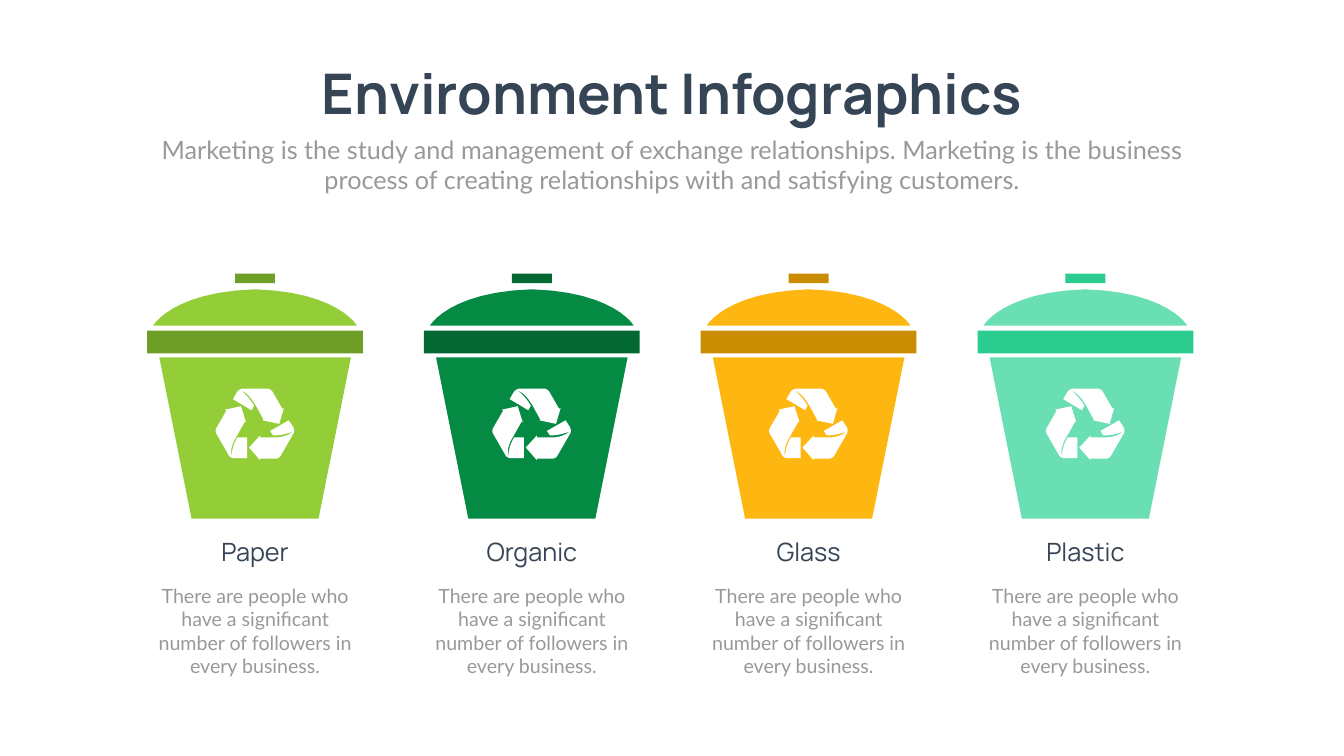
import dataclasses
import typing

import pptx
import pptx.dml.color
import pptx.enum.shapes
import pptx.enum.text
import pptx.util

# Grid: 2666 columns by 1500 rows of square cells
COLS, ROWS = 2666, 1500
CELL = pptx.util.Inches(0.01)
MIDDLE = COLS / 2
FIRST_BIN, BIN_PITCH = 506, 549
SYMBOL_ROW = 842
CURVE_STEPS = 12

Point = tuple[float, float]
# A segment holds one point for a line, or three for a Bézier curve
Segment = tuple[Point, ...]


@dataclasses.dataclass(frozen=True)
class Style:
    font: str
    size: int
    color: str
    bold: bool = False


@dataclasses.dataclass(frozen=True)
class Theme:
    title: Style = Style("Manrope", 80, "364556", True)
    subtitle: Style = Style("Lato", 36, "999999")
    label: Style = Style("Manrope", 36, "364556")
    body: Style = Style("Lato", 28, "999999")
    symbol: str = "FFFFFF"


@dataclasses.dataclass(frozen=True)
class Bin:
    label: str
    light: str
    dark: str


class Outline(typing.NamedTuple):
    start: Point
    segments: tuple[Segment, ...]


THEME = Theme()
BINS = (
    Bin("Paper", "93CE39", "6F9E27"),
    Bin("Organic", "058A43", "046832"),
    Bin("Glass", "FEB611", "CA8D01"),
    Bin("Plastic", "6BDFB4", "2CCC90"),
)
DESCRIPTION = "There are people who have a significant number of followers in every business."

# Outlines: columns from the bin's axis; rows from the slide top, or from SYMBOL_ROW for arrows
BODY = Outline((-190, 709), (((-126, 1029),), ((126, 1029),), ((190, 709),)))
LID = Outline((202, 646), (
    ((202, 646), (164, 579), (0, 574)),
    ((-164, 579), (-202, 646), (-202, 646)),
))
ARROWS = (
    # Right arrow
    Outline((76, 6), (
        ((67, -8),), ((30, 13),), ((36, 22),),
        ((49, 22), (63, 19), (75, 14)),
        ((61, 27), (38, 26), (38, 26)),
        ((10, 26),), ((10, 22),), ((-12, 46),), ((10, 71),), ((10, 68),), ((40, 68),),
        ((45, 68), (50, 65), (52, 60)),
        ((75, 20),),
        ((78, 16), (78, 11), (76, 6)),
    )),
    # Top arrow
    Outline((-2, -37), (
        ((-9, -49), (-18, -59), (-28, -67)),
        ((-11, -61), (-1, -40), (0, -40)),
        ((17, -9),), ((15, -8),), ((48, -1),), ((57, -32),), ((54, -31),), ((35, -64),),
        ((33, -68), (28, -71), (23, -71)),
        ((-23, -71),),
        ((-28, -71), (-33, -68), (-36, -64)),
        ((-44, -50),), ((-7, -28),),
    )),
    # Left arrow
    Outline((-35, 26), (
        ((-42, 37), (-46, 50), (-47, 64)),
        ((-51, 45), (-38, 26), (-38, 26)),
        ((-20, -6),), ((-18, -4),), ((-28, -36),), ((-60, -29),), ((-57, -27),), ((-76, 6),),
        ((-79, 10), (-79, 16), (-76, 20)),
        ((-53, 60),),
        ((-51, 65), (-46, 67), (-41, 67)),
        ((-16, 67),), ((-16, 26),),
    )),
)


def cells(n: float) -> int:
    return round(n * CELL)


def rgb(color: str) -> pptx.dml.color.RGBColor:
    return pptx.dml.color.RGBColor.from_string(color)


def paint(sp, color: str) -> None:
    sp.shadow.inherit = False
    sp.fill.solid()
    sp.fill.fore_color.rgb = rgb(color)
    sp.line.fill.background()


def flatten(outline: Outline) -> list[Point]:
    """Turn lines and curves into one run of points."""
    points = [outline.start]
    for segment in outline.segments:
        if len(segment) == 1:
            points.append(segment[0])
            continue
        corners = (points[-1], *segment)
        for step in range(1, CURVE_STEPS + 1):
            t = step / CURVE_STEPS
            weights = ((1 - t) ** 3, 3 * t * (1 - t) ** 2, 3 * t * t * (1 - t), t ** 3)
            points.append((sum(w * c[0] for w, c in zip(weights, corners)),
                           sum(w * c[1] for w, c in zip(weights, corners))))
    return points


def add_outline(shapes, outline: Outline, axis: float, row: float, color: str) -> None:
    points = [(cells(axis + x), cells(row + y)) for x, y in flatten(outline)]
    builder = shapes.build_freeform(*points[0])
    builder.add_line_segments(points[1:], close=True)
    paint(builder.convert_to_shape(), color)


def add_bar(shapes, axis: float, row: float, width: float, height: float, color: str) -> None:
    sp = shapes.add_shape(pptx.enum.shapes.MSO_SHAPE.RECTANGLE, cells(axis - width / 2),
                          cells(row), cells(width), cells(height))
    paint(sp, color)


def add_bin(s, axis: float, item: Bin) -> None:
    shapes = s.shapes.add_group_shape().shapes
    add_outline(shapes, BODY, axis, 0, item.light)
    add_bar(shapes, axis, 656, 428, 45, item.dark)
    add_outline(shapes, LID, axis, 0, item.light)
    add_bar(shapes, axis, 543, 79, 19, item.dark)
    for arrow in ARROWS:
        add_outline(shapes, arrow, axis, SYMBOL_ROW, THEME.symbol)


def add_text(s, text: str, axis: float, row: float, width: float, height: float,
             style: Style, wrap: bool = True) -> None:
    sp = s.shapes.add_textbox(cells(axis - width / 2), cells(row), cells(width), cells(height))
    tf = sp.text_frame
    tf.word_wrap = wrap
    tf.auto_size = pptx.enum.text.MSO_AUTO_SIZE.SHAPE_TO_FIT_TEXT
    p = tf.paragraphs[0]
    p.alignment = pptx.enum.text.PP_ALIGN.CENTER
    r = p.add_run()
    r.text = text
    r.font.name = style.font
    r.font.size = pptx.util.Pt(style.size)
    r.font.bold = style.bold
    r.font.color.rgb = rgb(style.color)


def main() -> None:
    prs = pptx.Presentation()
    prs.slide_width, prs.slide_height = cells(COLS), cells(ROWS)
    s = prs.slides.add_slide(prs.slide_layouts[6])

    # Heading
    add_text(s, "Environment Infographics", MIDDLE, 112, 1527, 145, THEME.title, wrap=False)
    add_text(s, "Marketing is the study and management of exchange relationships. "
                "Marketing is the business process of creating relationships with "
                "and satisfying customers.", MIDDLE, 261, 2082, 131, THEME.subtitle)

    # Bins with their captions
    for i, item in enumerate(BINS):
        axis = FIRST_BIN + i * BIN_PITCH
        add_bin(s, axis, item)
        add_text(s, item.label, axis, 1060, 358, 71, THEME.label)
        add_text(s, DESCRIPTION, axis, 1153, 444, 199, THEME.body)

    prs.save("out.pptx")


if __name__ == "__main__":
    main()
